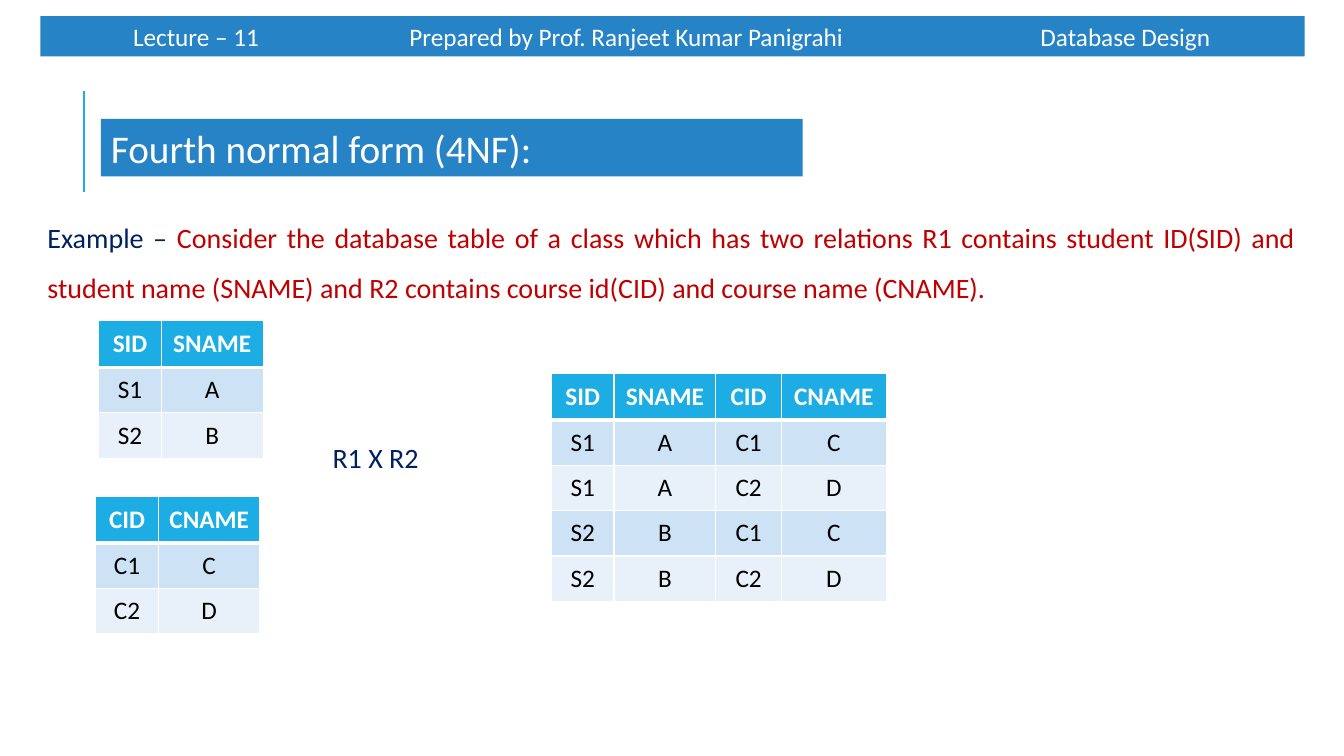
from lxml.etree import SubElement
from pptx import Presentation
from pptx.dml.color import RGBColor
from pptx.enum.shapes import MSO_CONNECTOR, MSO_SHAPE
from pptx.enum.text import MSO_ANCHOR, MSO_AUTO_SIZE, PP_ALIGN
from pptx.oxml.ns import qn
from pptx.util import Pt

PX = 9144
FONT = "Calibri"
WHITE = RGBColor(0xFF, 0xFF, 0xFF)
BLACK = RGBColor(0x00, 0x00, 0x00)
BLUE = RGBColor(0x26, 0x83, 0xC6)
CYAN = RGBColor(0x1C, 0xAD, 0xE4)
NAVY = RGBColor(0x00, 0x20, 0x60)
RED = RGBColor(0xC0, 0x00, 0x00)
BANDS = RGBColor(0xCD, 0xE3, 0xF5), RGBColor(0xE8, 0xF1, 0xFA)
STUDENTS = [("S1", "A"), ("S2", "B")]
COURSES = [("C1", "C"), ("C2", "D")]


def px(*lengths):
    """Turn px lengths into EMU."""
    return [n * PX for n in lengths]


def add_run(p, text, size=18, color=BLACK, bold=False):
    """Append a formatted run to a paragraph."""
    r = p.add_run()
    r.text = text
    r.font.name, r.font.size, r.font.bold = FONT, Pt(size), bold
    r.font.color.rgb = color


def write(tf, text, align=PP_ALIGN.LEFT, anchor=MSO_ANCHOR.TOP, spacing=None, **font):
    """Put one formatted paragraph in a text frame and return it."""
    tf.word_wrap = True
    tf.auto_size = MSO_AUTO_SIZE.NONE
    tf.vertical_anchor = anchor
    p = tf.paragraphs[0]
    p.alignment, p.line_spacing, p.space_before = align, spacing, Pt(0)
    add_run(p, text, **font)
    return p


def place(sp, *box):
    """Move and size a shape."""
    sp.left, sp.top, sp.width, sp.height = px(*box)


def fill_solid(item, color):
    """Give a shape or cell a plain fill."""
    item.fill.solid()
    item.fill.fore_color.rgb = color


def add_title_rule(s):
    """Draw the upright line beside the title."""
    line = s.shapes.add_connector(MSO_CONNECTOR.STRAIGHT, *px(83, 190, 83, 90))
    line.line.color.rgb, line.line.width = CYAN, Pt(1.5)
    SubElement(line._element.spPr, qn("a:effectLst"))


def add_header(s, text, inset, tabs):
    """Draw the top band with its tabbed text."""
    sp = s.shapes.add_shape(MSO_SHAPE.RECTANGLE, *px(40, 16, 1254, 40))
    sp.shadow.inherit = False
    fill_solid(sp, BLUE)
    sp.line.fill.background()
    tf = sp.text_frame
    tf.margin_left = inset * PX
    pPr = tf.paragraphs[0]._p.get_or_add_pPr()
    tab_list = SubElement(pPr, qn("a:tabLst"))
    for pos in tabs:
        SubElement(tab_list, qn("a:tab"), pos=str(pos * PX), algn="l")
    write(tf, text, anchor=MSO_ANCHOR.MIDDLE, color=WHITE)


def add_example(sp, label, text):
    """Fill the body placeholder with the example."""
    place(sp, 37, 197, 1258, 111)
    pPr = sp.text_frame.paragraphs[0]._p.get_or_add_pPr()
    pPr.set("marL", "0")
    pPr.set("indent", "0")
    SubElement(pPr, qn("a:buNone"))
    p = write(sp.text_frame, label, align=PP_ALIGN.JUSTIFY, spacing=1.5, size=20, color=NAVY)
    add_run(p, text, size=20, color=RED)


def add_borders(cell, bottom):
    """Draw white borders around a cell."""
    tcPr = cell._tc.get_or_add_tcPr()
    for side, width in zip("LRTB", (1, 1, 1, bottom)):
        ln = SubElement(tcPr, qn(f"a:ln{side}"), w=str(Pt(width)))
        SubElement(SubElement(ln, qn("a:solidFill")), qn("a:srgbClr"), val=str(WHITE))


def add_relation(s, x, y, widths, heads, records):
    """Add a relation table with a header and banded rows."""
    rows = [heads, *records]
    heights = [46] + [45] * len(records)
    box = px(x, y, sum(widths), sum(heights))
    table = s.shapes.add_table(len(rows), len(heads), *box).table
    for column, width in zip(table.columns, widths):
        column.width = width * PX
    for i, values in enumerate(rows):
        table.rows[i].height = heights[i] * PX
        head = i == 0
        for j, text in enumerate(values):
            cell = table.cell(i, j)
            add_borders(cell, 3 if head else 1)
            fill_solid(cell, CYAN if head else BANDS[(i - 1) % 2])
            cell.margin_left = cell.margin_right = (8 if head else 15) * PX
            cell.margin_top = cell.margin_bottom = (8 if head else 7) * PX
            cell.vertical_anchor = MSO_ANCHOR.MIDDLE
            p = cell.text_frame.paragraphs[0]
            p.alignment = PP_ALIGN.CENTER
            add_run(p, text, color=WHITE if head else BLACK, bold=head)


def main():
    """Build the slide and save it."""
    prs = Presentation()
    prs.slide_width, prs.slide_height = px(1333, 750)
    s = prs.slides.add_slide(prs.slide_layouts[1])
    title, body = s.placeholders
    add_title_rule(s)
    place(title, 100, 118, 696, 57)
    fill_solid(title, BLUE)
    write(title.text_frame, "Fourth normal form (4NF):", anchor=MSO_ANCHOR.MIDDLE,
          size=28, color=WHITE)
    add_header(s, "Lecture – 11\tPrepared by Prof. Ranjeet Kumar Panigrahi\tDatabase Design",
               92, (274, 900))
    add_example(body, "Example –",
                " Consider the database table of a class which has two relations R1 contains "
                "student ID(SID) and student name (SNAME) and R2 contains course id(CID) and "
                "course name (CNAME).")
    add_relation(s, 98, 318, (62, 101), ("SID", "SNAME"), STUDENTS)
    add_relation(s, 95, 492, (62, 101), ("CID", "CNAME"), COURSES)
    add_relation(s, 547, 370, (62, 101, 65, 104), ("SID", "SNAME", "CID", "CNAME"),
                 [student + course for student in STUDENTS for course in COURSES])
    product = s.shapes.add_textbox(*px(320, 432, 133, 44))
    write(product.text_frame, "R1 X R2", size=20, color=NAVY)
    prs.save("out.pptx")


if __name__ == "__main__":
    main()
